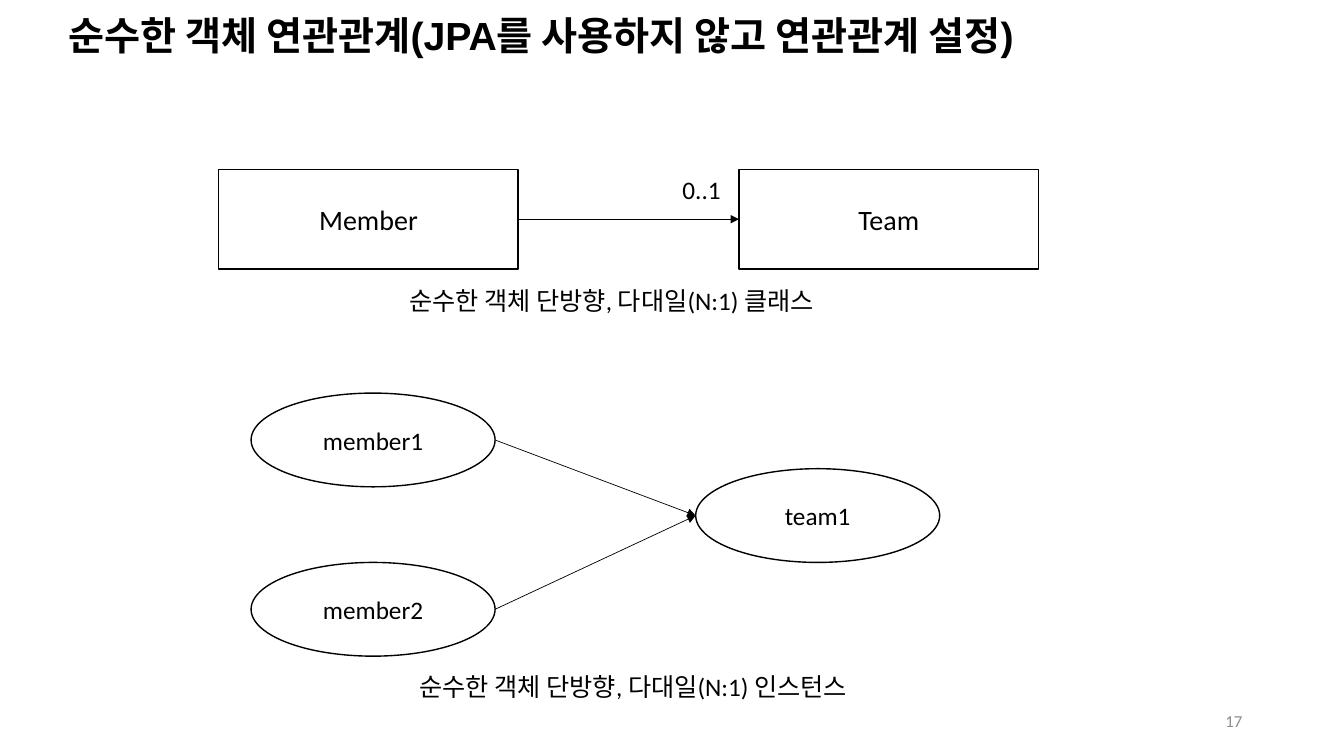
from pptx import Presentation
from pptx.dml.color import RGBColor
from pptx.enum.shapes import MSO_CONNECTOR, MSO_SHAPE
from pptx.enum.text import MSO_ANCHOR, MSO_AUTO_SIZE, PP_ALIGN
from pptx.oxml.ns import qn
from pptx.util import Inches, Pt
from lxml import etree

RECTANGLE, ELLIPSE = MSO_SHAPE.RECTANGLE, MSO_SHAPE.OVAL
STRAIGHT = MSO_CONNECTOR.STRAIGHT
LEFT, CENTER, RIGHT = PP_ALIGN.LEFT, PP_ALIGN.CENTER, PP_ALIGN.RIGHT
TOP, MIDDLE = MSO_ANCHOR.TOP, MSO_ANCHOR.MIDDLE
FIT_SHAPE, NO_FIT = MSO_AUTO_SIZE.SHAPE_TO_FIT_TEXT, MSO_AUTO_SIZE.NONE
BLACK, WHITE, GRAY = "000000", "FFFFFF", "8C8C8C"
CLASS_SIZE = (2.97, 0.99)
INSTANCE_SIZE = (2.42, 0.93)


def color(value):
    return RGBColor.from_string(value)


def write(shape, text, size, align=LEFT, anchor=TOP, font="Calibri", fill=BLACK, bold=False):
    shape.text_frame.vertical_anchor = anchor
    paragraph = shape.text_frame.paragraphs[0]
    paragraph.alignment = align
    run = paragraph.add_run()
    run.text = text
    run.font.name = font
    run.font.size = Pt(size)
    run.font.bold = bold
    run.font.color.rgb = color(fill)
    return paragraph


def add_title(slide, text):
    title = slide.shapes.title
    title.left, title.top = Inches(0.58), Inches(0.18)
    title.width, title.height = Inches(11.5), Inches(0.38)
    title.text_frame.word_wrap = True
    title.text_frame.auto_size = NO_FIT
    paragraph = write(title, text, 28, anchor=MIDDLE, font="Arial", bold=True)
    paragraph.line_spacing = 0.9


def add_node(slide, kind, left, top, size, text, text_size):
    width, height = size
    node = slide.shapes.add_shape(kind, Inches(left), Inches(top), Inches(width), Inches(height))
    node.shadow.inherit = False
    node.fill.solid()
    node.fill.fore_color.rgb = color(WHITE)
    node.line.color.rgb = color(BLACK)
    node.line.width = Pt(1)
    write(node, text, text_size, CENTER, MIDDLE)
    return node


def add_arrow(slide, source, target):
    arrow = slide.shapes.add_connector(
        STRAIGHT,
        source.left + source.width, source.top + source.height // 2,
        target.left, target.top + target.height // 2,
    )
    arrow.line.color.rgb = color(BLACK)
    arrow.line.width = Pt(0.5)
    line = arrow.line._get_or_add_ln()
    etree.SubElement(line, qn("a:tailEnd"), type="triangle")
    etree.SubElement(arrow._element.spPr, qn("a:effectLst"))


def add_label(slide, left, top, width, text):
    label = slide.shapes.add_textbox(Inches(left), Inches(top), Inches(width), Inches(0.4))
    label.text_frame.word_wrap = False
    label.text_frame.auto_size = FIT_SHAPE
    write(label, text, 18)


def add_page_number(slide, text):
    number = slide.shapes.add_textbox(Inches(9.42), Inches(6.95), Inches(3), Inches(0.4))
    number.text_frame.word_wrap = True
    write(number, text, 12, RIGHT, MIDDLE, fill=GRAY)


def main():
    presentation = Presentation()
    presentation.slide_width = Inches(13.33)
    presentation.slide_height = Inches(7.5)
    slide = presentation.slides.add_slide(presentation.slide_layouts[5])

    add_title(slide, "순수한 객체 연관관계(JPA를 사용하지 않고 연관관계 설정)")
    add_page_number(slide, "17")

    member_class, team_class = [
        add_node(slide, RECTANGLE, left, 1.68, CLASS_SIZE, name, 20)
        for left, name in ((2.17, "Member"), (7.33, "Team"))
    ]
    add_arrow(slide, member_class, team_class)
    add_label(slide, 6.67, 1.68, 0.58, "0..1")
    add_label(slide, 3.96, 2.78, 4.54, "순수한 객체 단방향, 다대일(N:1) 클래스")

    team = add_node(slide, ELLIPSE, 6.9, 4.65, INSTANCE_SIZE, "team1", 18)
    for top, name in ((3.9, "member1"), (5.58, "member2")):
        member = add_node(slide, ELLIPSE, 2.49, top, INSTANCE_SIZE, name, 18)
        add_arrow(slide, member, team)
    add_label(slide, 4.06, 6.61, 4.8, "순수한 객체 단방향, 다대일(N:1) 인스턴스")

    presentation.save("out.pptx")


if __name__ == "__main__":
    main()
